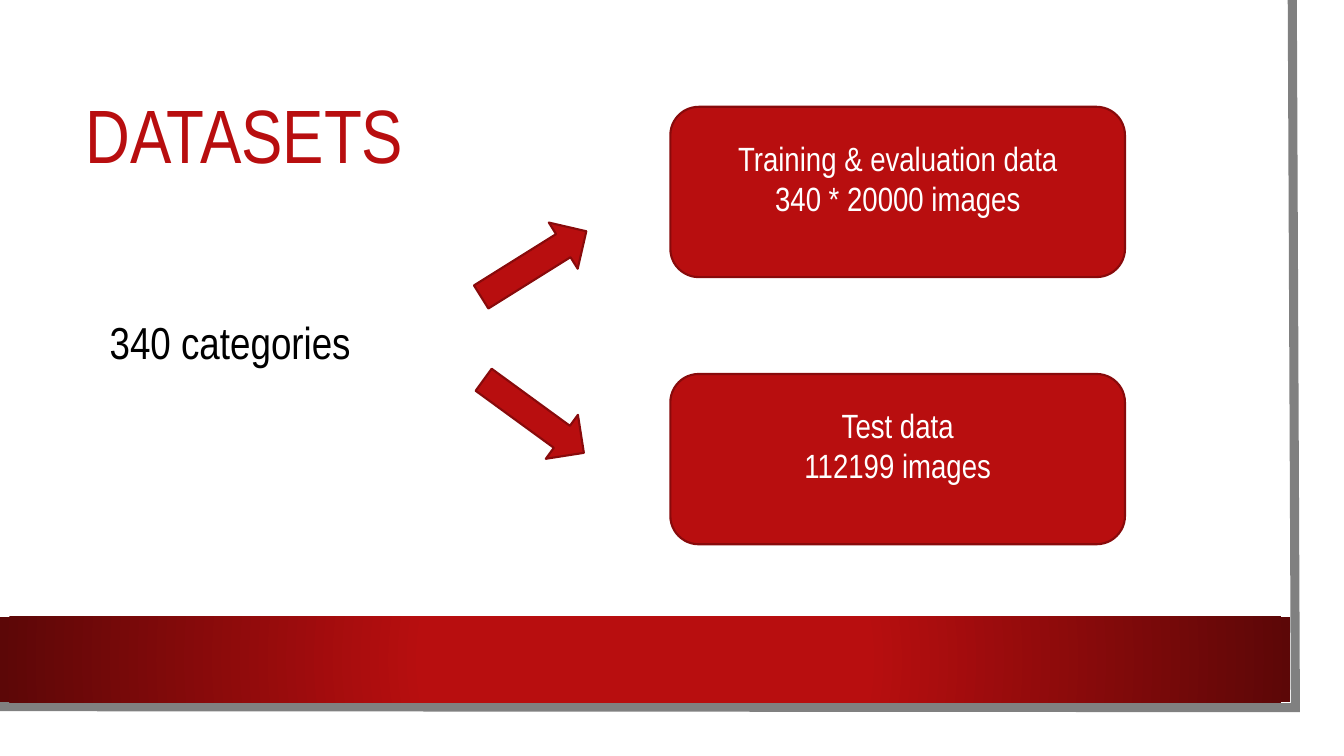
from dataclasses import dataclass

from lxml import etree
from pptx import Presentation
from pptx.dml.color import RGBColor
from pptx.enum.shapes import MSO_SHAPE
from pptx.enum.text import MSO_ANCHOR, PP_ALIGN
from pptx.oxml.ns import qn
from pptx.util import Inches, Pt

RECT = MSO_SHAPE.RECTANGLE
ROUND_RECT = MSO_SHAPE.ROUNDED_RECTANGLE
ARROW = MSO_SHAPE.RIGHT_ARROW
LEFT, CENTER = PP_ALIGN.LEFT, PP_ALIGN.CENTER
TOP, MIDDLE = MSO_ANCHOR.TOP, MSO_ANCHOR.MIDDLE

COLORS = {
    "red": "B80E0F",
    "outline": "880A0B",
    "dark": "5C0707",
    "frame": "808080",
    "black": "000000",
    "white": "FFFFFF",
}
FONT = "Arial Narrow"
WIDTH, HEIGHT = Inches(13.33), Inches(7.5)


@dataclass
class Area:
    """Percentages of the slide's width and height."""
    x: float
    y: float
    w: float
    h: float

    def emu(self) -> tuple[int, int, int, int]:
        return px(self.x), py(self.y), px(self.w), py(self.h)


@dataclass
class Label:
    area: Area
    text: str
    size: int
    color: str
    anchor: MSO_ANCHOR
    spacing: float


@dataclass
class Branch:
    arrow_y: float
    angle: float
    box_y: float
    lines: list[str]


LABELS = [
    Label(Area(5.62, 10, 85.28, 16.8), "DATASETS", 54, "red", MIDDLE, 0.9),
    Label(Area(7.42, 40.93, 52.65, 8.53), "340 categories", 32, "black", TOP, 1.0),
]
BRANCHES = [
    Branch(31.33, 328, 14.13, ["Training & evaluation data", "340 * 20000 images"]),
    Branch(51.47, 36.1, 49.47, ["Test data", "112199 images"]),
]


def px(share: float) -> int:
    return round(WIDTH * share / 100)


def py(share: float) -> int:
    return round(HEIGHT * share / 100)


def rgb(name: str) -> RGBColor:
    return RGBColor.from_string(COLORS[name])


def add_text(tf, lines: list[str], size: int, color: str, align: PP_ALIGN,
             anchor: MSO_ANCHOR, spacing: float = 1.0) -> None:
    tf.word_wrap = True
    tf.vertical_anchor = anchor
    for i, line in enumerate(lines):
        p = tf.add_paragraph() if i else tf.paragraphs[0]
        p.alignment = align
        p.line_spacing = spacing
        r = p.add_run()
        r.text = line
        r.font.name = FONT
        r.font.size = Pt(size)
        r.font.color.rgb = rgb(color)


def add_solid(s, kind: MSO_SHAPE, area: Area):
    sp = s.shapes.add_shape(kind, *area.emu())
    sp.shadow.inherit = False
    sp.fill.solid()
    sp.fill.fore_color.rgb = rgb("red")
    sp.line.color.rgb = rgb("outline")
    sp.line.width = Pt(1.5)
    return sp


def add_frame(s) -> None:
    fb = s.shapes.build_freeform(px(96.15), 0)
    fb.add_line_segments([(px(96.38), py(93.6)), (0, py(93.47))], close=False)
    sp = fb.convert_to_shape()
    sp.shadow.inherit = False
    sp.fill.background()
    sp.line.color.rgb = rgb("frame")
    sp.line.width = Pt(6.5)
    ln = sp.line._get_or_add_ln()
    etree.SubElement(ln, qn("a:miter"), lim="800000")


def add_band(s) -> None:
    sp = s.shapes.add_shape(RECT, *Area(0, 81.6, 96, 11.33).emu())
    sp.shadow.inherit = False
    sp.line.fill.background()
    sp.fill.gradient()
    for stop, color, pos in zip(sp.fill.gradient_stops, ("red", "dark"), (0.34, 1)):
        stop.color.rgb = rgb(color)
        stop.position = pos
    grad = sp._element.spPr.find(qn("a:gradFill"))
    lin = grad.find(qn("a:lin"))
    circle = etree.Element(qn("a:path"), path="circle")
    etree.SubElement(circle, qn("a:fillToRect"),
                     {side: "50000" for side in "ltrb"})
    grad.replace(lin, circle)


def add_label(s, label: Label) -> None:
    tf = s.shapes.add_textbox(*label.area.emu()).text_frame
    add_text(tf, [label.text], label.size, label.color, LEFT,
             label.anchor, label.spacing)


def add_branch(s, branch: Branch) -> None:
    arrow = add_solid(s, ARROW, Area(35.1, branch.arrow_y, 9.23, 7.2))
    arrow.rotation = branch.angle
    box = add_solid(s, ROUND_RECT, Area(49.88, branch.box_y, 33.83, 22.53))
    box.text_frame.margin_bottom = py(4.4)
    add_text(box.text_frame, branch.lines, 24, "white", CENTER, MIDDLE)


def main() -> None:
    prs = Presentation()
    prs.slide_width, prs.slide_height = WIDTH, HEIGHT
    s = prs.slides.add_slide(prs.slide_layouts[6])
    add_frame(s)
    add_band(s)
    for label in LABELS:
        add_label(s, label)
    for branch in BRANCHES:
        add_branch(s, branch)
    prs.save("out.pptx")


if __name__ == "__main__":
    main()
